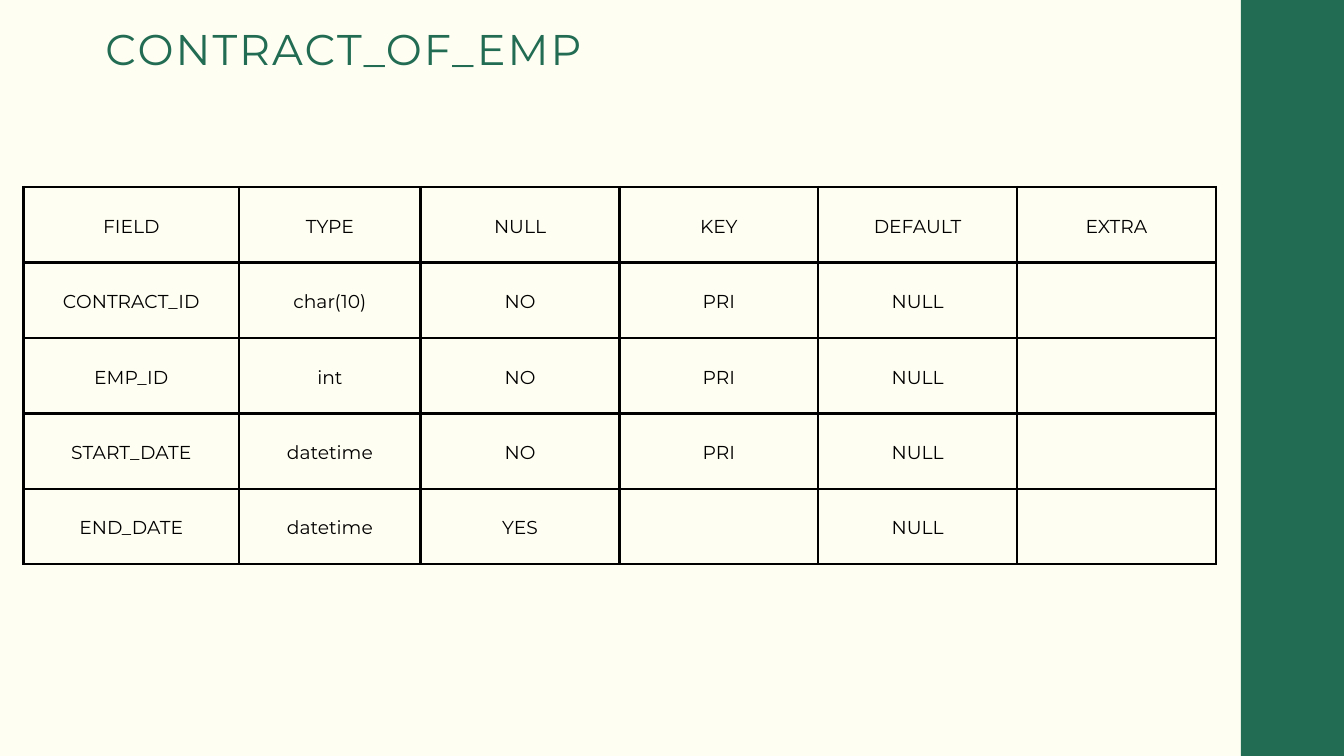
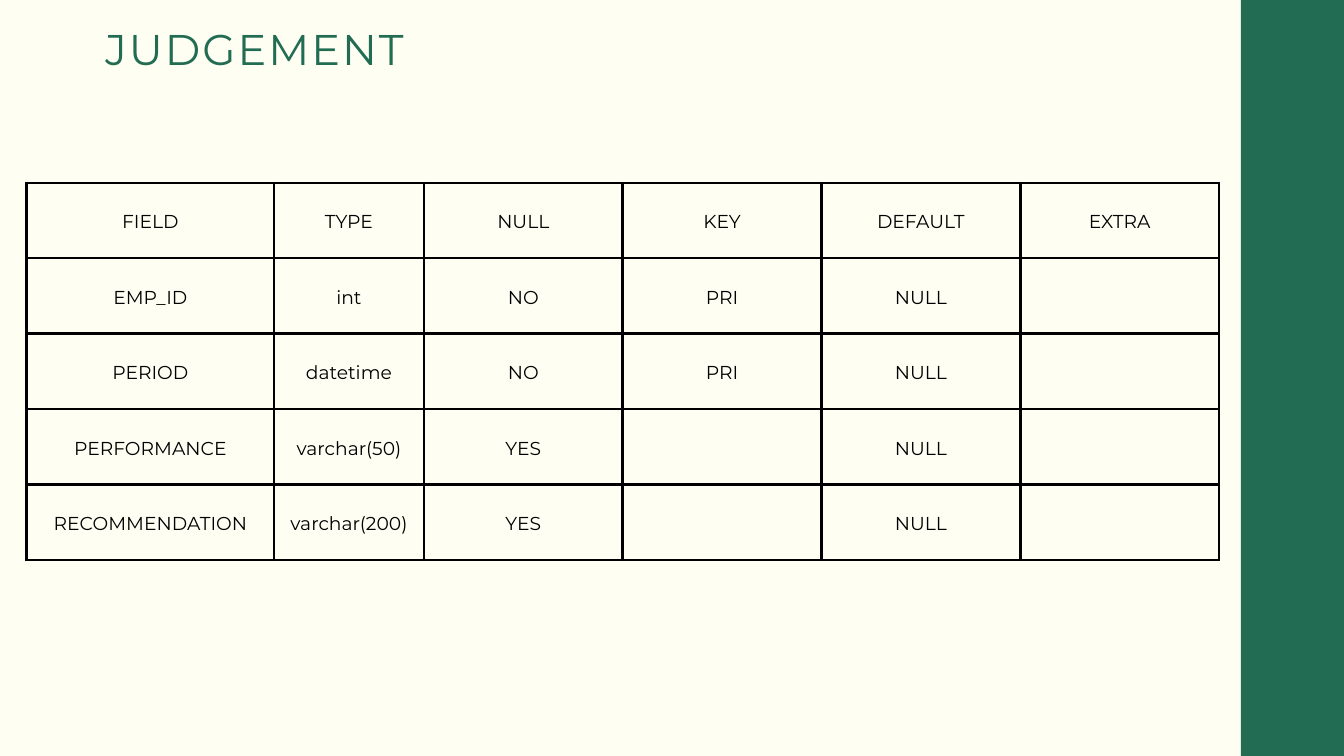
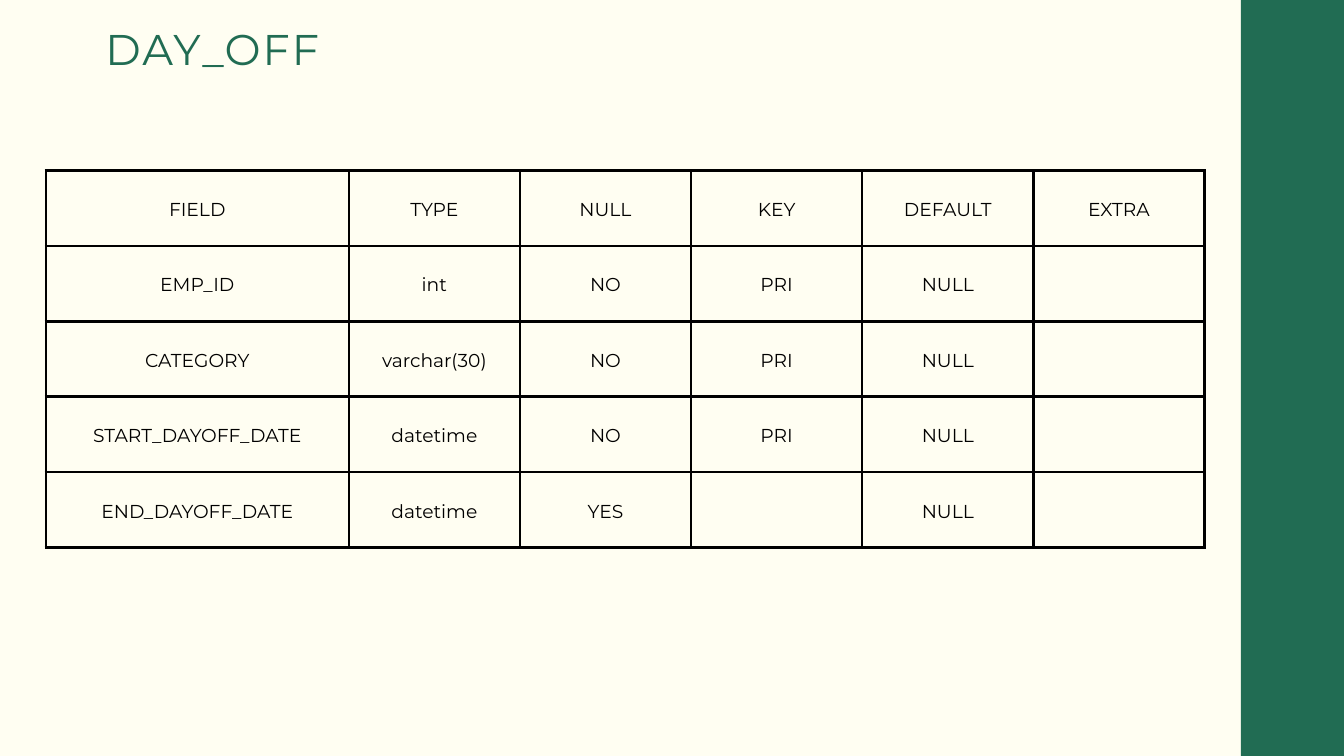
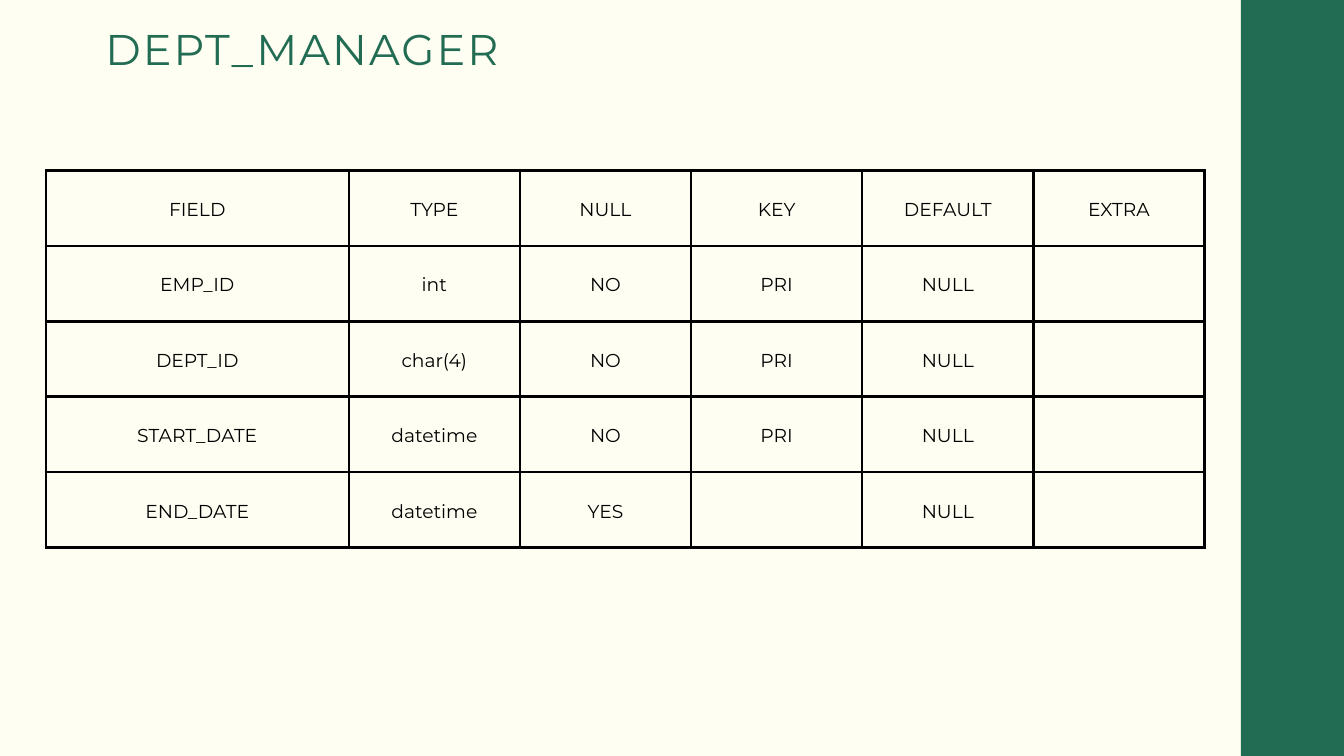
from typing import NamedTuple

from lxml.etree import SubElement
from pptx import Presentation
from pptx.dml.color import RGBColor
from pptx.enum.shapes import MSO_SHAPE
from pptx.enum.text import MSO_ANCHOR, MSO_AUTO_SIZE, PP_ALIGN
from pptx.oxml.ns import qn
from pptx.slide import Slide
from pptx.table import _Cell
from pptx.text.text import _Paragraph
from pptx.util import Pt

# Shared style
COLORS = {"paper": "FFFEF2", "green": "216C53", "ink": "000000"}
FONT = "Montserrat"
SLIDE_W, SLIDE_H = 1440, 810
BAND_LEFT, BAND_W = 1329.5, 306.5
TITLE_LEFT, TITLE_TOP, TITLE_H = 113, 15, 61.2
ROW_H, CELL_MARGIN, BORDER_W = 80.8, 15, 3
HEADERS = ("FIELD", "TYPE", "NULL", "KEY", "DEFAULT", "EXTRA")


class Field(NamedTuple):
    name: str
    type: str
    null: str = "NO"
    key: str = "PRI"
    default: str = "NULL"
    extra: str = ""


class Schema(NamedTuple):
    title: str
    title_w: float
    left: float
    top: float
    col_widths: tuple[float, ...]
    fields: tuple[Field, ...]


# Column widths: the columns after the first ones are equal
CONTRACT_COLS = (231.3, 194.4) + (213,) * 4
JUDGEMENT_COLS = (265, 160.6) + (213,) * 4
WIDE_COLS = (324.7,) + (183.4,) * 5

SCHEMAS = (
    Schema("CONTRACT_OF_EMP", 785, 25, 200.6, CONTRACT_COLS, (
        Field("CONTRACT_ID", "char(10)"),
        Field("EMP_ID", "int"),
        Field("START_DATE", "datetime"),
        Field("END_DATE", "datetime", "YES", ""),
    )),
    Schema("JUDGEMENT", 543, 28.6, 195.9, JUDGEMENT_COLS, (
        Field("EMP_ID", "int"),
        Field("PERIOD", "datetime"),
        Field("PERFORMANCE", "varchar(50)", "YES", ""),
        Field("RECOMMENDATION", "varchar(200)", "YES", ""),
    )),
    Schema("DAY_OFF", 502, 49, 182.7, WIDE_COLS, (
        Field("EMP_ID", "int"),
        Field("CATEGORY", "varchar(30)"),
        Field("START_DAYOFF_DATE", "datetime"),
        Field("END_DAYOFF_DATE", "datetime", "YES", ""),
    )),
    Schema("DEPT_MANAGER", 767.5, 49, 182.7, WIDE_COLS, (
        Field("EMP_ID", "int"),
        Field("DEPT_ID", "char(4)"),
        Field("START_DATE", "datetime"),
        Field("END_DATE", "datetime", "YES", ""),
    )),
)


def rgb(name: str) -> RGBColor:
    return RGBColor.from_string(COLORS[name])


def format_paragraph(p: _Paragraph, size: float, color: str,
                     align: PP_ALIGN) -> None:
    p.alignment = align
    p.line_spacing = Pt(size * 1.4)
    p.font.name = FONT
    p.font.size = Pt(size)
    p.font.color.rgb = rgb(color)


def set_margins(box, margin: float) -> None:
    box.margin_left = box.margin_right = Pt(margin)
    box.margin_top = box.margin_bottom = Pt(margin)


# Background, side band and title
def draw_frame(s: Slide, schema: Schema) -> None:
    s.background.fill.solid()
    s.background.fill.fore_color.rgb = rgb("paper")

    band = s.shapes.add_shape(MSO_SHAPE.RECTANGLE, Pt(BAND_LEFT), 0,
                              Pt(BAND_W), Pt(SLIDE_H))
    band.shadow.inherit = False
    band.fill.solid()
    band.fill.fore_color.rgb = rgb("green")
    band.line.fill.background()

    title = s.shapes.title
    title.left, title.top = Pt(TITLE_LEFT), Pt(TITLE_TOP)
    title.width, title.height = Pt(schema.title_w), Pt(TITLE_H)
    tf = title.text_frame
    tf.text = schema.title
    tf.word_wrap = True
    tf.auto_size = MSO_AUTO_SIZE.SHAPE_TO_FIT_TEXT
    tf.vertical_anchor = MSO_ANCHOR.TOP
    set_margins(tf, 0)
    p = tf.paragraphs[0]
    format_paragraph(p, 46, "green", PP_ALIGN.LEFT)
    p.runs[0]._r.get_or_add_rPr().set("spc", "220")


# Table cells
def draw_borders(cell: _Cell) -> None:
    tc_pr = cell._tc.get_or_add_tcPr()
    for side in ("a:lnL", "a:lnR", "a:lnT", "a:lnB"):
        ln = SubElement(tc_pr, qn(side), w=str(Pt(BORDER_W)))
        fill = SubElement(ln, qn("a:solidFill"))
        SubElement(fill, qn("a:srgbClr"), val=COLORS["ink"])


def fill_cell(cell: _Cell, text: str) -> None:
    cell.text = text
    cell.vertical_anchor = MSO_ANCHOR.MIDDLE
    set_margins(cell, CELL_MARGIN)
    draw_borders(cell)
    cell.fill.background()
    format_paragraph(cell.text_frame.paragraphs[0], 20, "ink",
                     PP_ALIGN.CENTER)


def draw_table(s: Slide, schema: Schema) -> None:
    rows = (HEADERS, *schema.fields)
    table = s.shapes.add_table(
        len(rows), len(HEADERS), Pt(schema.left), Pt(schema.top),
        Pt(sum(schema.col_widths)), Pt(ROW_H * len(rows))).table
    table.first_row = table.horz_banding = False
    for column, width in zip(table.columns, schema.col_widths):
        column.width = Pt(width)
    for row, values in zip(table.rows, rows):
        row.height = Pt(ROW_H)
        for cell, value in zip(row.cells, values):
            fill_cell(cell, value)


def main() -> None:
    prs = Presentation()
    prs.slide_width, prs.slide_height = Pt(SLIDE_W), Pt(SLIDE_H)
    title_only = prs.slide_layouts[5]
    for schema in SCHEMAS:
        s = prs.slides.add_slide(title_only)
        draw_frame(s, schema)
        draw_table(s, schema)
    prs.save("out.pptx")


if __name__ == "__main__":
    main()
